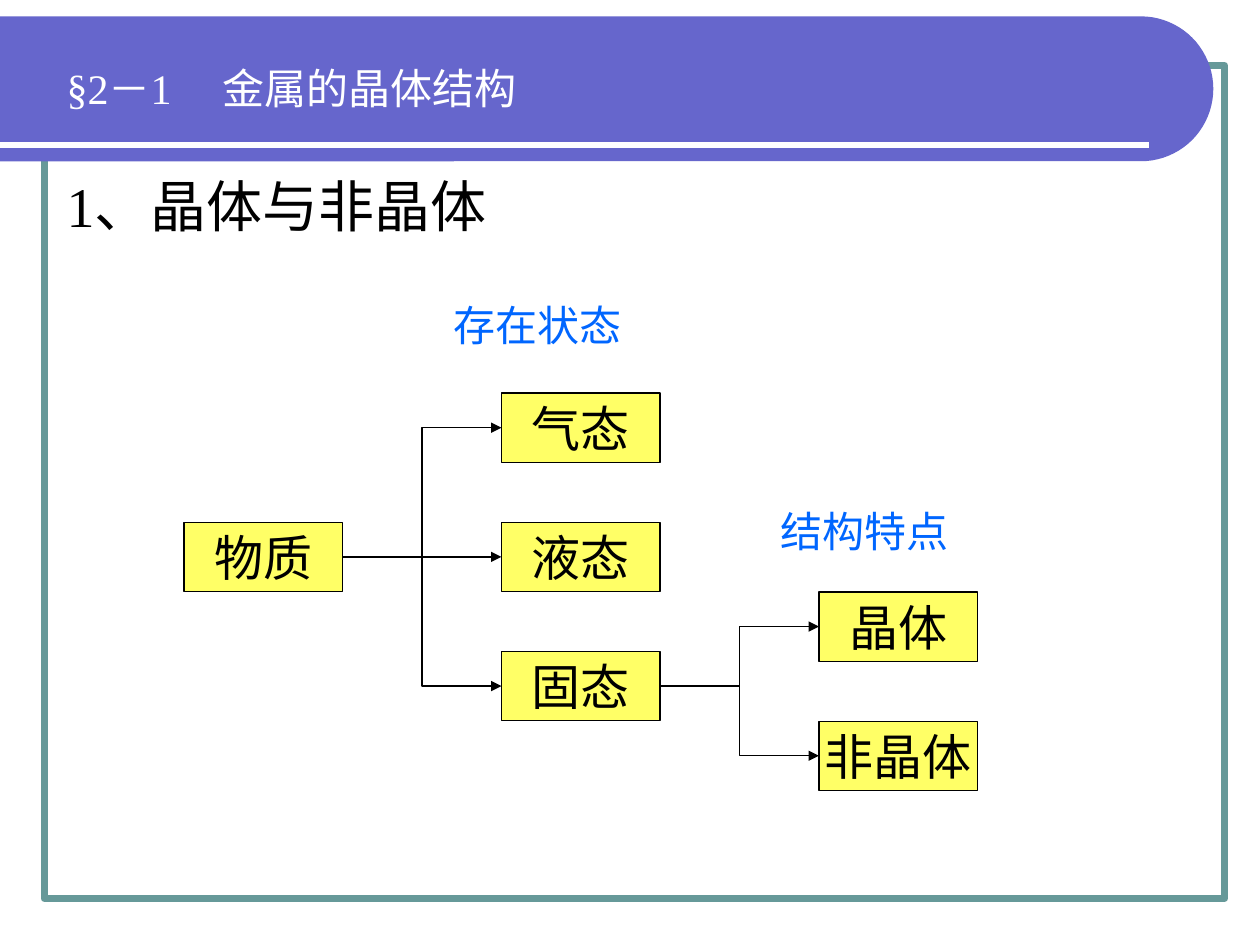
from dataclasses import dataclass
from math import cos, pi, sin

from lxml import etree
from pptx import Presentation
from pptx.dml.color import RGBColor
from pptx.enum.shapes import MSO_CONNECTOR, MSO_SHAPE
from pptx.enum.text import MSO_ANCHOR, PP_ALIGN
from pptx.oxml.ns import qn
from pptx.util import Inches, Pt

RECTANGLE = MSO_SHAPE.RECTANGLE
STRAIGHT, ELBOW = MSO_CONNECTOR.STRAIGHT, MSO_CONNECTOR.ELBOW
CENTER, MIDDLE = PP_ALIGN.CENTER, MSO_ANCHOR.MIDDLE
LEFT_SIDE, RIGHT_SIDE = 1, 3


@dataclass(frozen=True)
class Theme:
    font: str = "Times New Roman"
    band: str = "6666CC"
    frame: str = "669999"
    node: str = "FFFF66"
    label: str = "0066FF"
    ink: str = "000000"
    paper: str = "FFFFFF"
    heading_size: int = 32
    node_size: int = 28
    label_size: int = 24
    frame_line: float = 4
    rule_line: float = 3
    thin_line: float = 0.75


@dataclass(frozen=True)
class Grid:
    left: float = 1.46
    top: float = 3.12
    column: float = 2.52
    row: float = 1.025
    width: float = 1.26
    height: float = 0.55

    def place(self, column, row):
        return (self.left + column * self.column, self.top + row * self.row,
                self.width, self.height)


class SlideBuilder:
    def __init__(self, slide, theme, grid):
        self.slide, self.theme, self.grid = slide, theme, grid

    def paint(self, shape, fill=None, line=None, width=0):
        shape.shadow.inherit = False
        if fill:
            shape.fill.solid()
            shape.fill.fore_color.rgb = RGBColor.from_string(fill)
        else:
            shape.fill.background()
        if line:
            self.stroke(shape, line, width)
        else:
            shape.line.fill.background()

    def stroke(self, shape, color, width):
        shape.line.color.rgb = RGBColor.from_string(color)
        shape.line.width = Pt(width)

    def set_text(self, shape, text, size, color, tab=None):
        para = shape.text_frame.paragraphs[0]
        para.text = text
        if tab:
            stops = etree.SubElement(para._p.get_or_add_pPr(), qn("a:tabLst"))
            etree.SubElement(stops, qn("a:tab"), pos=str(Inches(tab)), algn="l")
        for span in para.runs:
            span.font.name = self.theme.font
            span.font.size = Pt(size)
            span.font.color.rgb = RGBColor.from_string(color)
        return para

    def rectangle(self, area, **style):
        shape = self.slide.shapes.add_shape(RECTANGLE, *map(Inches, area))
        self.paint(shape, **style)
        return shape

    def text(self, area, text, size, color, tab=None):
        box = self.slide.shapes.add_textbox(*map(Inches, area))
        box.text_frame.word_wrap = True
        self.set_text(box, text, size, color, tab)

    def node(self, text, column, row):
        theme = self.theme
        box = self.rectangle(self.grid.place(column, row), fill=theme.node,
                             line=theme.ink, width=theme.thin_line)
        box.text_frame.word_wrap = False
        box.text_frame.vertical_anchor = MIDDLE
        self.set_text(box, text, theme.node_size, theme.ink).alignment = CENTER
        return box

    def connector(self, kind, ends, color, width):
        line = self.slide.shapes.add_connector(kind, *map(Inches, ends))
        self.stroke(line, color, width)
        etree.SubElement(line._element.spPr, qn("a:effectLst"))
        return line

    def arrow(self, source, target):
        level = source.top == target.top
        line = self.connector(STRAIGHT if level else ELBOW, (0, 0, 0, 0),
                              self.theme.ink, self.theme.thin_line)
        line.begin_connect(source, RIGHT_SIDE)
        line.end_connect(target, LEFT_SIDE)
        outline = line._element.spPr.find(qn("a:ln"))
        etree.SubElement(outline, qn("a:tailEnd"), type="triangle")

    def rounded_band(self, top, bottom, right, steps=40):
        radius = (bottom - top) / 2
        angles = [pi * step / steps - pi / 2 for step in range(steps + 1)]
        arc = [(Inches(right - radius + radius * cos(angle)),
                Inches(top + radius + radius * sin(angle))) for angle in angles]
        outline = self.slide.shapes.build_freeform(0, Inches(top))
        outline.add_line_segments(arc + [(0, Inches(bottom))], close=True)
        self.paint(outline.convert_to_shape(), fill=self.theme.band)


def main():
    deck = Presentation()
    deck.slide_width, deck.slide_height = Inches(10), Inches(7.5)
    theme = Theme()
    page = SlideBuilder(deck.slides.add_slide(deck.slide_layouts[6]), theme, Grid())

    page.rectangle((0.35, 0.52, 9.37, 6.61), line=theme.frame, width=theme.frame_line)
    page.rounded_band(0.13, 1.28, 9.63)
    page.connector(STRAIGHT, (0, 1.15, 9.12, 1.15), theme.paper, theme.rule_line)
    page.text((0.43, 0.45, 5.87, 0.5), "§2－1\t金属的晶体结构",
              theme.label_size, theme.paper, tab=1.24)
    page.text((0.43, 1.31, 8.67, 0.9), "1、晶体与非晶体", theme.heading_size, theme.ink)

    matter = page.node("物质", 0, 1)
    states = [page.node(name, 1, row) for row, name in enumerate(("气态", "液态", "固态"))]
    solids = [page.node(name, 2, row + 1.54) for row, name in enumerate(("晶体", "非晶体"))]
    for source, targets in ((matter, states), (states[-1], solids)):
        for target in targets:
            page.arrow(source, target)

    for left, top, name in ((3.5, 2.33, "存在状态"), (6.1, 3.96, "结构特点")):
        page.text((left, top, 1.57, 0.5), name, theme.label_size, theme.label)

    deck.save("out.pptx")


if __name__ == "__main__":
    main()
